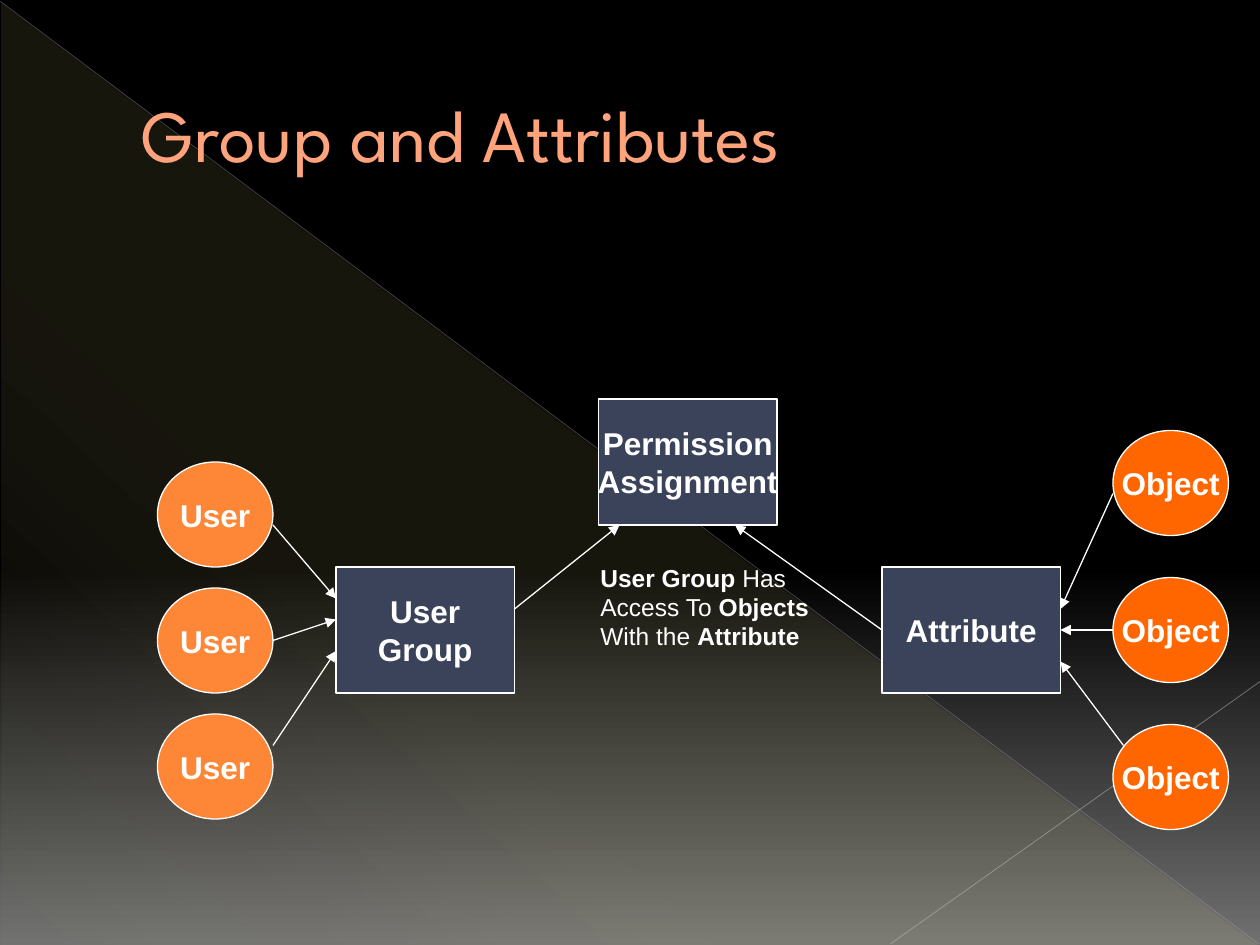
"""Build the Group and Attributes access diagram slide."""
import pptx
import pptx.dml.color
import pptx.enum.shapes
import pptx.enum.text
import pptx.oxml
import pptx.oxml.ns
import pptx.util

Pt = pptx.util.Pt
SHAPE = pptx.enum.shapes.MSO_SHAPE
ANCHOR = pptx.enum.text.MSO_ANCHOR
ALIGN = pptx.enum.text.PP_ALIGN
COLORS = {"white": "FFFFFF", "title": "FFA37C", "user": "FE8637", "object": "FF6600",
          "box": "3B435B", "black": "000000", "grey": "707070", "glow": "FFF39D",
          "long line": "BABDC4", "short line": "C1C4CA"}

TITLE = [[("Group and Attributes", False)]]
CAPTION = [[("User Group", True), (" Has", False)],
           [("Access To ", False), ("Objects", True)],
           [("With the ", False), ("Attribute", True)]]
BACKDROP = [(0, "black", 100), (60, "black", 100), (100, "grey", 100)]
GLOW = [(0, "glow", 10), (70, "glow", 8), (100, "glow", 1)]
DECOR_LINES = [((0, 0.7), (719.3, 539.3), "long line", 0.39, 35),
               ((720, 389.5), (509, 539.3), "short line", 0.47, 45)]
CIRCLE_SIZE, BOX_SIZE = (66, 60), (102, 72)
CIRCLE_COLUMNS = [("User", "user", 90, 264, 72), ("Object", "object", 636, 246, 84)]
BOXES = [(["User", "Group"], 192, 324), (["Attribute"], 504, 324),
         (["Permission", "Assignment"], 342, 228)]
ARROWS = [((156, 426), (192, 372)), ((156, 366), (192, 354)), ((156, 300), (192, 342)),
          ((636, 282), (606, 348)), ((636, 360), (606, 360)), ((642, 426), (606, 378)),
          ((294, 348), (354, 300)), ((504, 360), (420, 300))]
TITLE_FONT = {"name": "League Spartan", "size": Pt(42)}
LABEL_FONT = {"name": "Arial", "size": Pt(18)}
CAPTION_FONT = {"name": "Arial", "size": Pt(14)}


def rgb(name):
    return pptx.dml.color.RGBColor.from_string(COLORS[name])


def element(xml):
    return pptx.oxml.parse_xml(xml.replace(" ", " " + pptx.oxml.ns.nsdecls("a") + " ", 1))


def set_gradient(fill, owner, stops, angle):
    fill.gradient()
    gradient = owner.find(".//" + pptx.oxml.ns.qn("a:gradFill"))
    stop_list = gradient.find(pptx.oxml.ns.qn("a:gsLst"))
    for old in list(stop_list):
        stop_list.remove(old)
    for position, color, alpha in stops:
        stop_list.append(element(
            f'<a:gs pos="{position * 1000}"><a:srgbClr val="{COLORS[color]}">'
            f'<a:alpha val="{alpha * 1000}"/></a:srgbClr></a:gs>'))
    gradient.find(pptx.oxml.ns.qn("a:lin")).set("ang", str(angle * 60000))


def write(shape, lines, font, color="white", align=ALIGN.LEFT, **frame_format):
    frame = shape.text_frame
    for name, value in frame_format.items():
        setattr(frame, name, value)
    for index, runs in enumerate(lines):
        para = frame.paragraphs[0] if index == 0 else frame.add_paragraph()
        para.alignment = align
        for text, bold in runs:
            span = para.add_run()
            span.text = text
            for name, value in {**font, "bold": bold}.items():
                setattr(span.font, name, value)
            span.font.color.rgb = rgb(color)


def add_node(kind, lines, color, left, top, size):
    node = page.shapes.add_shape(kind, Pt(left), Pt(top), *map(Pt, size))
    node.shadow.inherit = False
    node.fill.solid()
    node.fill.fore_color.rgb = rgb(color)
    node.line.color.rgb = rgb("white")
    node.line.width = Pt(0.75)
    write(node, [[(line, True)] for line in lines], LABEL_FONT, align=ALIGN.CENTER,
          word_wrap=False, vertical_anchor=ANCHOR.MIDDLE)


def add_line(start, end, color="white", width=0.75, alpha=100, arrow=False):
    line = page.shapes.add_connector(pptx.enum.shapes.MSO_CONNECTOR.STRAIGHT,
                                     *map(Pt, start + end))
    line.line.color.rgb = rgb(color)
    line.line.width = Pt(width)
    properties = line.element.spPr
    if alpha < 100:
        properties.find(".//" + pptx.oxml.ns.qn("a:srgbClr")).append(
            element(f'<a:alpha val="{alpha * 1000}"/>'))
    if arrow:
        line.line._get_or_add_ln().append(element('<a:tailEnd type="triangle"/>'))
    properties.append(element("<a:effectLst />"))


deck = pptx.Presentation()
deck.slide_width, deck.slide_height = Pt(720), Pt(540)
page = deck.slides.add_slide(deck.slide_layouts[6])
set_gradient(page.background.fill, page.element, BACKDROP, 90)

triangle = page.shapes.add_shape(SHAPE.RIGHT_TRIANGLE, Pt(0.7), Pt(1.4), Pt(718.6), Pt(538.6))
triangle.shadow.inherit = False
triangle.line.fill.background()
set_gradient(triangle.fill, triangle.element, GLOW, 133)
for decor_line in DECOR_LINES:
    add_line(*decor_line)

title = page.shapes.add_textbox(Pt(74), Pt(21), Pt(610), Pt(110))
write(title, TITLE, TITLE_FONT, "title", word_wrap=True, vertical_anchor=ANCHOR.MIDDLE)

for label, color, left, top, pitch in CIRCLE_COLUMNS:
    for row in range(3):
        add_node(SHAPE.OVAL, [label], color, left, top + row * pitch, CIRCLE_SIZE)
for lines, left, top in BOXES:
    add_node(SHAPE.RECTANGLE, lines, "box", left, top, BOX_SIZE)
for start, end in ARROWS:
    add_line(start, end, arrow=True)

caption = page.shapes.add_textbox(Pt(336), Pt(318), Pt(139), Pt(58))
write(caption, CAPTION, CAPTION_FONT, word_wrap=True)

deck.save("out.pptx")
